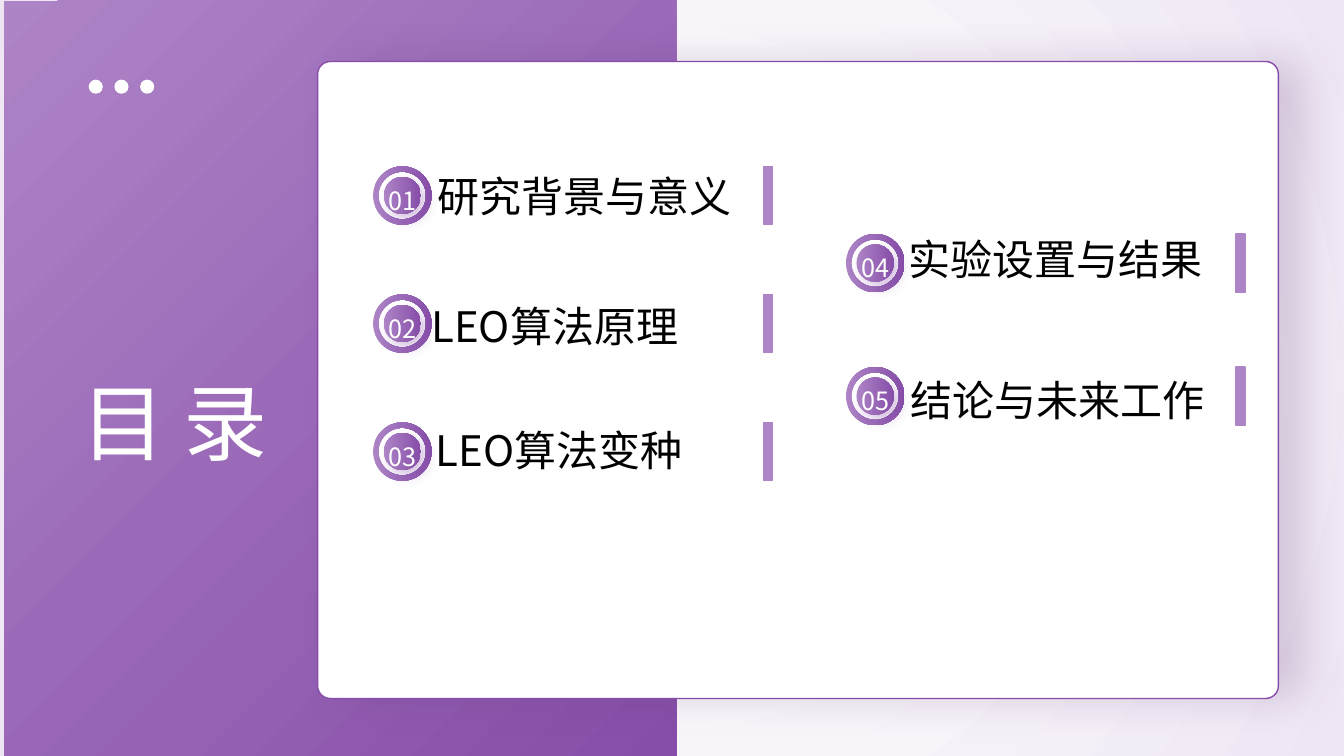
from lxml import etree
from pptx import Presentation
from pptx.dml.color import RGBColor
from pptx.enum.shapes import MSO_SHAPE
from pptx.enum.text import MSO_ANCHOR, PP_ALIGN
from pptx.oxml.ns import qn
from pptx.util import Inches, Pt

RECT, ROUNDED = MSO_SHAPE.RECTANGLE, MSO_SHAPE.ROUNDED_RECTANGLE
OVAL, DONUT = MSO_SHAPE.OVAL, MSO_SHAPE.DONUT
TOP, MIDDLE = MSO_ANCHOR.TOP, MSO_ANCHOR.MIDDLE
LEFT, CENTER = PP_ALIGN.LEFT, PP_ALIGN.CENTER

FONT = "Noto Sans CJK SC"
COLORS = {
    "white": "FFFFFF",
    "black": "000000",
    "mist": "EFE6F4",
    "lilac": "AD84C6",
    "purple": "874EA9",
    "card_shadow": "5A3471",
}
TITLE = {"size": Pt(60), "color": "white", "align": CENTER, "anchor": TOP, "spacing": 1.3}
NUMBER = {"size": Pt(18), "color": "white", "align": CENTER, "anchor": MIDDLE, "spacing": 1.3}
ENTRY = {"size": Pt(30), "color": "black", "align": LEFT, "anchor": MIDDLE, "spacing": None}

BADGE_SIZE = 0.58
DISC_SIZE = 0.37
# number, entry, badge left and top, entry left and top
CONTENTS = [
    ("01", "研究背景与意义", 3.7, 1.65, 4.34, 1.69),
    ("02", "LEO算法原理", 3.7, 2.92, 4.28, 2.98),
    ("03", "LEO算法变种", 3.7, 4.19, 4.32, 4.21),
    ("04", "实验设置与结果", 8.39, 2.32, 9.01, 2.32),
    ("05", "结论与未来工作", 8.39, 3.64, 9.03, 3.72),
]


def rgb(color):
    return RGBColor.from_string(COLORS[color])


def add_panel(shapes, kind, box, fill=None, line=None, adjust=None):
    panel = shapes.add_shape(kind, *map(Inches, box))
    panel.shadow.inherit = False
    if fill:
        panel.fill.solid()
        panel.fill.fore_color.rgb = rgb(fill)
    if line:
        panel.line.color.rgb = rgb(line)
        panel.line.width = Pt(1)
    else:
        panel.line.fill.background()
    if adjust is not None:
        panel.adjustments[0] = adjust
    return panel


def set_gradient(panel, start, end, angle=0, start_at=0):
    panel.fill.gradient()
    panel.fill.gradient_angle = angle
    stops = panel.fill.gradient_stops
    for stop, color, position in zip(stops, (start, end), (start_at, 1)):
        stop.color.rgb = rgb(color)
        stop.position = position


def make_radial(panel):
    """Turn the linear gradient of a panel into one spreading from its centre."""
    gradient = panel._element.spPr.find(qn("a:gradFill"))
    linear = gradient.find(qn("a:lin"))
    circle = etree.Element(qn("a:path"), path="circle")
    sides = {side: "50000" for side in "ltrb"}
    etree.SubElement(circle, qn("a:fillToRect"), **sides)
    gradient.replace(linear, circle)


def add_shadow(panel, color, opacity, blur, distance, angle):
    effects = panel._element.spPr.find(qn("a:effectLst"))
    shadow = etree.SubElement(
        effects, qn("a:outerShdw"), blurRad=str(Pt(blur)), dist=str(Pt(distance)),
        dir=str(angle * 60000), algn="ctr", rotWithShape="0")
    tint = etree.SubElement(shadow, qn("a:srgbClr"), val=COLORS[color])
    etree.SubElement(tint, qn("a:alpha"), val=str(opacity * 1000))


def add_text(shapes, words, box, style):
    frame = shapes.add_textbox(*map(Inches, box)).text_frame
    settings = {"word_wrap": True, "vertical_anchor": style["anchor"], "margin_left": 0,
                "margin_top": 0, "margin_right": 0, "margin_bottom": 0}
    for name, value in settings.items():
        setattr(frame, name, value)
    paragraph = frame.paragraphs[0]
    paragraph.alignment = style["align"]
    paragraph.line_spacing = style["spacing"]
    run = paragraph.add_run()
    run.text = words
    run.font.size = style["size"]
    run.font.color.rgb = rgb(style["color"])
    run.font.name = FONT
    etree.SubElement(run._r.get_or_add_rPr(), qn("a:ea"), typeface=FONT)


def add_badge(slide, number, left, top):
    """Add the numbered disc in its ring and the bar that closes the row."""
    shapes = slide.shapes.add_group_shape().shapes
    add_panel(shapes, RECT, (left + 3.87, top, 0.09, BADGE_SIZE), "lilac", "lilac")
    ring = add_panel(shapes, DONUT, (left, top, BADGE_SIZE, BADGE_SIZE), adjust=0.094)
    inset = (BADGE_SIZE - DISC_SIZE) / 2
    disc_box = (left + inset, top + inset, DISC_SIZE, DISC_SIZE)
    disc = add_panel(shapes, OVAL, disc_box)
    for part in (ring, disc):
        set_gradient(part, "lilac", "purple")
    add_shadow(disc, "purple", 33, 9, 6, 45)
    add_text(shapes, number, disc_box, NUMBER)


def add_backdrop(slide):
    glow = add_panel(slide.shapes, RECT, (-0.02, -0.01, 13.38, 7.53))
    set_gradient(glow, "white", "mist", start_at=0.18)
    make_radial(glow)
    side = add_panel(slide.shapes, RECT, (0.04, 0.01, 6.67, 7.5))
    set_gradient(side, "lilac", "purple", angle=315)
    card = add_panel(slide.shapes, ROUNDED, (3.15, 0.61, 9.53, 6.32), "white", "purple", 0.02)
    add_shadow(card, "card_shadow", 20, 31, 18, 0)


def main():
    deck = Presentation()
    deck.slide_width, deck.slide_height = Inches(13.33), Inches(7.5)
    slide = deck.slides.add_slide(deck.slide_layouts[6])
    add_backdrop(slide)
    add_text(slide.shapes, "目 录", (0.52, 3.38, 2.42, 1.28), TITLE)
    for index in range(3):
        add_panel(slide.shapes, OVAL, (0.88 + index * 0.255, 0.79, 0.14, 0.14), "white")
    for number, entry, badge_left, badge_top, entry_left, entry_top in CONTENTS:
        add_badge(slide, number, badge_left, badge_top)
        add_text(slide.shapes, entry, (entry_left, entry_top, 3.3, 0.5), ENTRY)
    deck.save("out.pptx")


if __name__ == "__main__":
    main()
